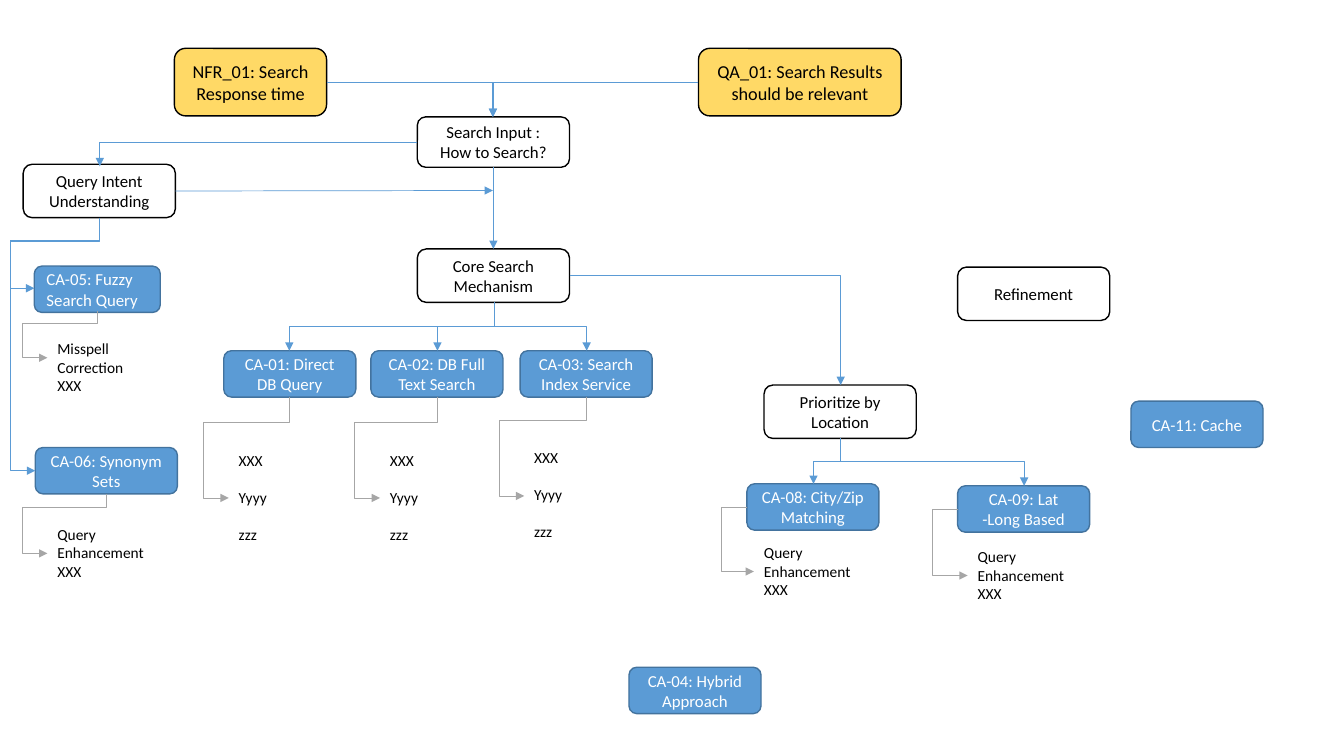
from lxml.etree import SubElement
from pptx import Presentation
from pptx.dml.color import RGBColor
from pptx.enum.shapes import MSO_CONNECTOR, MSO_SHAPE
from pptx.enum.text import MSO_ANCHOR, PP_ALIGN
from pptx.oxml.ns import qn
from pptx.util import Pt

PX = 9144
FONT = "Calibri"
BLACK = "000000"
WHITE = "FFFFFF"
YELLOW = "FFD966"
BLUE = "5B9BD5"
DARK_BLUE = "43739E"
GRAY = "A6A6A6"

QUALITIES = [
    ("NFR_01: Search Response time", 173, 48, 151, 67),
    ("QA_01: Search Results should be relevant", 693, 48, 201, 67),
]
STEPS = {
    "input": ("Search Input : How to Search?", 414, 116, 151, 50),
    "core": ("Core Search Mechanism", 414, 247, 151, 53),
    "intent": ("Query Intent Understanding", 23, 163, 151, 53),
    "location": ("Prioritize by Location", 758, 382, 151, 53),
    "refinement": ("Refinement", 950, 265, 151, 53),
}
APPROACHES = [
    ("CA-01: Direct DB Query", 222, 348, 131),
    ("CA-02: DB Full Text Search", 368, 348, 131),
    ("CA-03: Search Index Service", 516, 348, 131),
    ("CA-04: Hybrid Approach", 624, 662, 131),
    ("CA-06: Synonym Sets", 35, 444, 141),
    ("CA-08: City/Zip Matching", 741, 480, 131),
    ("CA-09: Lat -Long Based", 950, 482, 131),
    ("CA-11: Cache", 1122, 398, 131),
]
OPTION_LINES = ["XXX", "Yyyy", "zzz"]
ENHANCEMENT_LINES = ["Query Enhancement", "XXX"]
NOTES = [
    (["Misspell Correction", "XXX"], 47, 332, 135, 66, 0),
    (ENHANCEMENT_LINES, 47, 516, 111, 66, 0),
    (ENHANCEMENT_LINES, 748, 534, 111, 66, 0),
    (ENHANCEMENT_LINES, 960, 538, 111, 66, 0),
    (OPTION_LINES, 227, 443, 134, 103, 13),
    (OPTION_LINES, 377, 443, 134, 103, 13),
    (OPTION_LINES, 520, 440, 134, 103, 13),
]
SIDE_ROUTES = [
    ((324, 82), (489, 116)),
    ((693, 82), (489, 116)),
    ((414, 141), (99, 165)),
    ((565, 273), (834, 382)),
]
DOWN_ROUTES = [
    ((490, 300), (287, 348), 324),
    ((490, 300), (434, 348), 324),
    ((490, 300), (582, 348), 324),
    ((834, 435), (1016, 482), 458),
    ((834, 435), (807, 480), 458),
    ((99, 216), (35, 467), 239, 10),
    ((99, 216), (34, 286), 239, 10),
]
NOTE_DOWN_ROUTES = [
    ((97, 309), (47, 355), 321, 22),
    ((106, 490), (47, 549), 503, 22),
    ((287, 394), (227, 494), 419, 202),
    ((434, 394), (377, 494), 419, 352),
    ((582, 394), (520, 492), 417, 495),
]
NOTE_SIDE_ROUTES = [
    ((741, 503), (748, 567), 716),
    ((950, 505), (960, 571), 925),
]


def px(length):
    return round(length * PX)


def color(value):
    return RGBColor.from_string(value)


def format_paragraph(paragraph, size, text_color, alignment=PP_ALIGN.LEFT):
    paragraph.alignment = alignment
    for run in paragraph.runs:
        run.font.name = FONT
        run.font.size = Pt(size)
        run.font.color.rgb = color(text_color)


def add_box(slide, text, left, top, width, height, fill, line, text_color,
            size=12, alignment=PP_ALIGN.CENTER):
    shape = slide.shapes.add_shape(
        MSO_SHAPE.ROUNDED_RECTANGLE, px(left), px(top), px(width), px(height))
    shape.shadow.inherit = False
    if fill:
        shape.fill.solid()
        shape.fill.fore_color.rgb = color(fill)
    else:
        shape.fill.background()
    shape.line.color.rgb = color(line)
    shape.line.width = Pt(1)
    text_frame = shape.text_frame
    text_frame.text = text
    text_frame.word_wrap = True
    text_frame.vertical_anchor = MSO_ANCHOR.MIDDLE
    format_paragraph(text_frame.paragraphs[0], size, text_color, alignment)
    return shape


def add_approach(slide, text, left, top, width, alignment=PP_ALIGN.CENTER):
    add_box(slide, text, left, top, width, 46, BLUE, DARK_BLUE, WHITE,
            alignment=alignment)


def add_note(slide, lines, left, top, width, height, gap):
    text_frame = slide.shapes.add_textbox(
        px(left), px(top), px(width), px(height)).text_frame
    text_frame.word_wrap = True
    text_frame.text = "\n".join(lines)
    for index, paragraph in enumerate(text_frame.paragraphs):
        format_paragraph(paragraph, 11, BLACK)
        paragraph.space_before = Pt(gap if index else 0)


def add_arrow(slide, kind, start, end, line_color):
    connector = slide.shapes.add_connector(
        kind, px(start[0]), px(start[1]), px(end[0]), px(end[1]))
    connector.line.color.rgb = color(line_color)
    connector.line.width = Pt(0.5)
    SubElement(connector.line._get_or_add_ln(), qn("a:tailEnd"), type="triangle")
    SubElement(connector._element.spPr, qn("a:effectLst"))
    return connector


def add_elbow(slide, line_color, start, end, *bends, down=False):
    across, along = end[0] - start[0], end[1] - start[1]
    if down:
        middle_x, middle_y = (start[0] + end[0]) / 2, (start[1] + end[1]) / 2
        connector = add_arrow(
            slide, MSO_CONNECTOR.ELBOW,
            (middle_x - along / 2, middle_y + across / 2),
            (middle_x + along / 2, middle_y - across / 2), line_color)
        connector._element.spPr.find(qn("a:xfrm")).set("rot", "5400000")
        axes = [(start[1], along), (start[0], across)]
    else:
        connector = add_arrow(slide, MSO_CONNECTOR.ELBOW, start, end, line_color)
        axes = [(start[0], across), (start[1], along)]
    geometry = connector._element.spPr.find(qn("a:prstGeom"))
    geometry.set("prst", f"bentConnector{len(bends) + 2}")
    adjustments = geometry.find(qn("a:avLst"))
    if adjustments is None:
        adjustments = SubElement(geometry, qn("a:avLst"))
    if len(bends) == 2:
        bends = (bends[0], bends[1])
    for number, (bend, (origin, span)) in enumerate(zip(bends, axes), 1):
        ratio = round((bend - origin) / span * 100000)
        SubElement(adjustments, qn("a:gd"), name=f"adj{number}", fmla=f"val {ratio}")


def main():
    presentation = Presentation()
    presentation.slide_width = 12192000
    presentation.slide_height = px(750)
    slide = presentation.slides.add_slide(presentation.slide_layouts[6])

    for quality in QUALITIES:
        add_box(slide, *quality, YELLOW, BLACK, BLACK, size=13)
    steps = {name: add_box(slide, *step, None, BLACK, BLACK)
             for name, step in STEPS.items()}
    for approach in APPROACHES:
        add_approach(slide, *approach)
    add_approach(slide, "CA-05: Fuzzy Search Query", 34, 264, 125, PP_ALIGN.LEFT)
    for note in NOTES:
        add_note(slide, *note)

    for route in SIDE_ROUTES:
        add_elbow(slide, BLUE, *route)
    for route in DOWN_ROUTES:
        add_elbow(slide, BLUE, *route, down=True)
    for route in NOTE_DOWN_ROUTES:
        add_elbow(slide, GRAY, *route, down=True)
    for route in NOTE_SIDE_ROUTES:
        add_elbow(slide, GRAY, *route)

    intent_arrow = add_arrow(slide, MSO_CONNECTOR.STRAIGHT, (174, 189), (489, 189), BLUE)
    intent_arrow.begin_connect(steps["intent"], 3)
    core_arrow = add_arrow(slide, MSO_CONNECTOR.STRAIGHT, (489, 166), (489, 247), BLUE)
    core_arrow.begin_connect(steps["input"], 2)
    core_arrow.end_connect(steps["core"], 0)

    presentation.save("out.pptx")


if __name__ == "__main__":
    main()
